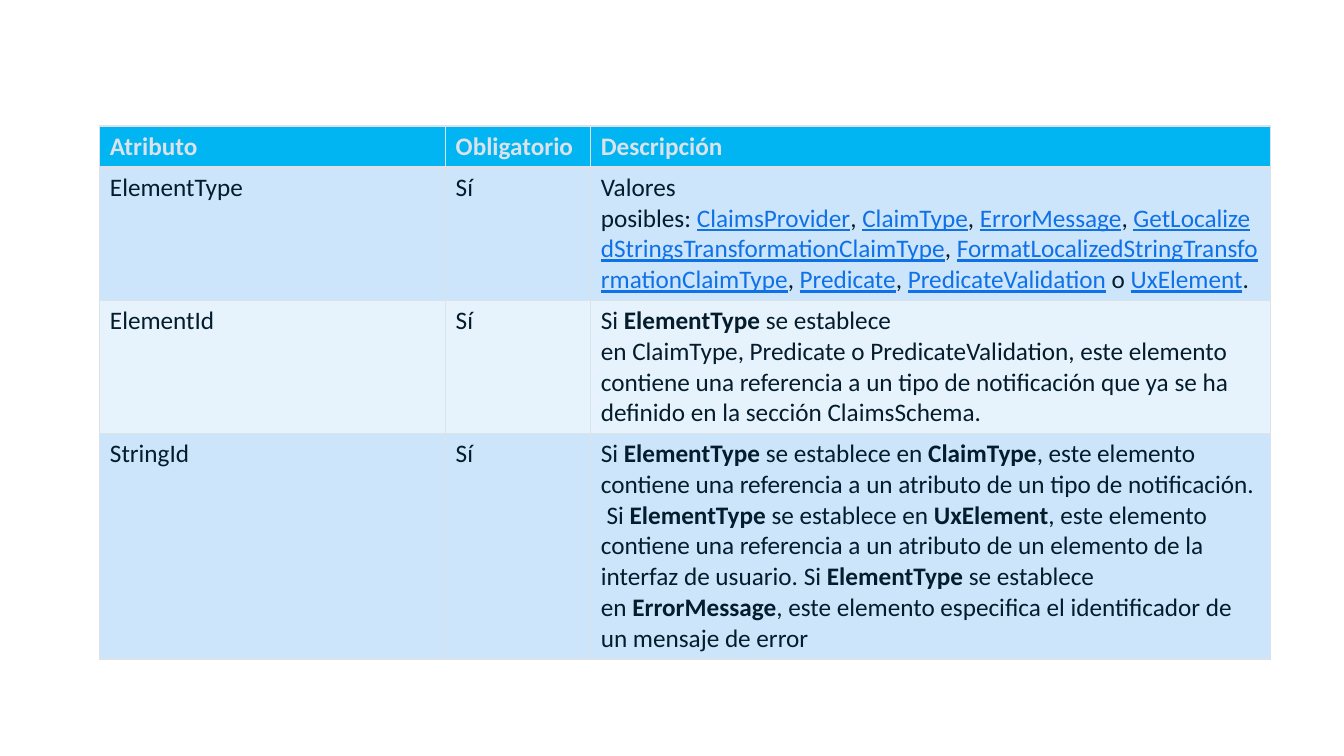
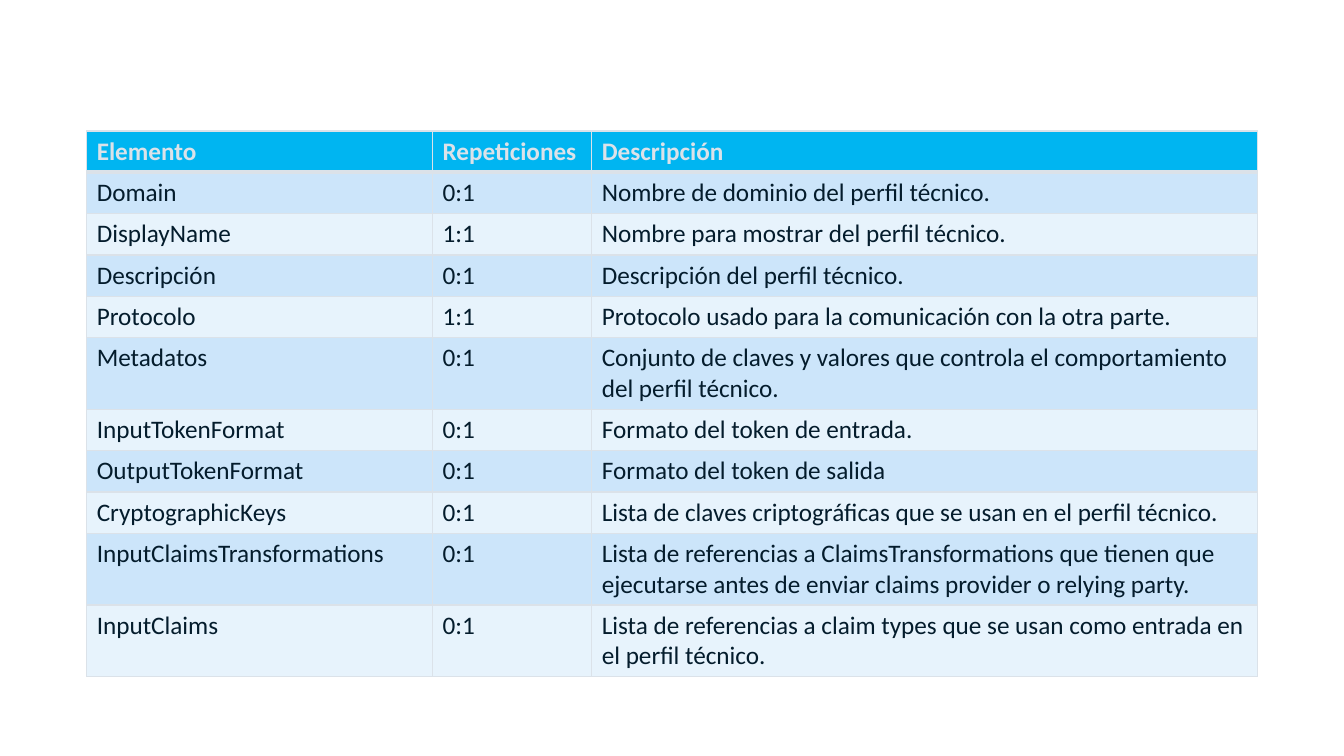
import pptx
import pptx.dml.color
import pptx.oxml
import pptx.oxml.ns
import pptx.util

COLORS = {
    "header": "00B5F1",
    "band_dark": "CCE5FA",
    "band_light": "E7F3FC",
    "border": "DBE2E9",
    "header_text": "DBE2E9",
    "text": "041C2C",
    "link": "0F71E8",
}
FONT = "Calibri"
TEXT_SIZE = 18
NO_BREAK_SPACE = chr(160)

# Cell markup: *bold*, _link_ and ~ for a space that does not break
ATTRIBUTE_ROWS = [
    ("Atributo", "Obligatorio", "Descripción"),
    ("ElementType", "Sí",
     "Valores posibles:~_ClaimsProvider_,~_ClaimType_,~_ErrorMessage_,~"
     "_GetLocalizedStringsTransformationClaimType_,~"
     "_FormatLocalizedStringTransformationClaimType_,~"
     "_Predicate_,~_PredicateValidation_~o~_UxElement_."),
    ("ElementId", "Sí",
     "Si~*ElementType*~se establece en~ClaimType,~Predicate~o~PredicateValidation, "
     "este elemento contiene una referencia a un tipo de notificación que ya se ha "
     "definido en la sección ClaimsSchema."),
    ("StringId", "Sí",
     "Si~*ElementType*~se establece en~*ClaimType*, este elemento contiene una "
     "referencia a un atributo de un tipo de notificación. ~Si~*ElementType*~se "
     "establece en~*UxElement*, este elemento contiene una referencia a un atributo "
     "de un elemento de la interfaz de usuario. Si~*ElementType*~se establece "
     "en~*ErrorMessage*, este elemento especifica el identificador de un mensaje "
     "de error"),
]
ELEMENT_ROWS = [
    ("Elemento", "Repeticiones", "Descripción"),
    ("Domain", "0:1", "Nombre de dominio del perfil técnico."),
    ("DisplayName", "1:1", "Nombre para mostrar del perfil técnico."),
    ("Descripción", "0:1", "Descripción del perfil técnico."),
    ("Protocolo", "1:1", "Protocolo usado para la comunicación con la otra parte."),
    ("Metadatos", "0:1",
     "Conjunto de claves y valores que controla el comportamiento del perfil técnico."),
    ("InputTokenFormat", "0:1", "Formato del token de entrada."),
    ("OutputTokenFormat", "0:1", "Formato del token de salida"),
    ("CryptographicKeys", "0:1",
     "Lista de claves criptográficas que se usan en el perfil técnico."),
    ("InputClaimsTransformations", "0:1",
     "Lista de referencias a ClaimsTransformations que tienen que ejecutarse antes "
     "de enviar claims provider o relying party."),
    ("InputClaims", "0:1",
     "Lista de referencias a claim types que se usan como entrada en el perfil técnico."),
]


def write_span(para, text, color="text", bold=False, underline=False):
    """Add one formatted run to a paragraph."""
    span = para.add_run()
    span.text = text.replace("~", NO_BREAK_SPACE)
    font = span.font
    font.name = FONT
    font.size = pptx.util.Pt(TEXT_SIZE)
    font.bold = bold
    font.underline = underline
    font.color.rgb = pptx.dml.color.RGBColor.from_string(COLORS[color])


class TableDeck:
    """Shared table style; lengths are percentages of the slide's size."""

    table_width = 87.09
    first_column = 25.73
    row_height = 5.47

    def __init__(self):
        self.deck = pptx.Presentation()
        self.deck.slide_width = pptx.util.Inches(13.33)
        self.deck.slide_height = pptx.util.Inches(7.5)
        self.page = None

    def across(self, percent):
        return round(self.deck.slide_width * percent / 100)

    def down(self, percent):
        return round(self.deck.slide_height * percent / 100)

    def add_page(self):
        self.page = self.deck.slides.add_slide(self.deck.slide_layouts[6])

    def add_table(self, rows, left, top, middle_column):
        widths = (self.first_column, middle_column,
                  self.table_width - self.first_column - middle_column)
        frame = self.page.shapes.add_table(
            len(rows), len(widths), self.across(left), self.down(top),
            self.across(self.table_width), self.down(self.row_height * len(rows)))
        table = frame.table
        for column, width in zip(table.columns, widths):
            column.width = self.across(width)
        for row_index, texts in enumerate(rows):
            table.rows[row_index].height = self.down(self.row_height)
            for column_index, text in enumerate(texts):
                self.format_cell(table.cell(row_index, column_index), text, row_index)

    def format_cell(self, cell, text, row_index):
        is_header = row_index == 0
        # Borders come before the fill in the cell's properties
        self.add_borders(cell, bottom=3 if is_header else 1)
        band = "band_dark" if row_index % 2 else "band_light"
        cell.fill.solid()
        cell.fill.fore_color.rgb = pptx.dml.color.RGBColor.from_string(
            COLORS["header" if is_header else band])
        para = cell.text_frame.paragraphs[0]
        if is_header:
            write_span(para, text, color="header_text", bold=True)
        else:
            self.write_markup(para, text)

    def write_markup(self, para, text):
        for bold_index, bold_part in enumerate(text.split("*")):
            for link_index, part in enumerate(bold_part.split("_")):
                is_link = link_index % 2 == 1
                if part:
                    write_span(para, part, color="link" if is_link else "text",
                               bold=bold_index % 2 == 1, underline=is_link)

    def add_borders(self, cell, bottom):
        properties = cell._tc.get_or_add_tcPr()
        for side, points in (("L", 1), ("R", 1), ("T", 1), ("B", bottom)):
            properties.append(pptx.oxml.parse_xml(
                f'<a:ln{side} {pptx.oxml.ns.nsdecls("a")} w="{pptx.util.Pt(points)}">'
                f'<a:solidFill><a:srgbClr val="{COLORS["border"]}"/></a:solidFill>'
                f'</a:ln{side}>'))


def main():
    tables = TableDeck()

    # Attributes of a localized string
    tables.add_page()
    tables.add_table(ATTRIBUTE_ROWS, left=7.43, top=16.67, middle_column=10.8)

    # Elements of a technical profile
    tables.add_page()
    tables.add_table(ELEMENT_ROWS, left=6.45, top=17.33, middle_column=11.85)

    tables.deck.save("out.pptx")


if __name__ == "__main__":
    main()
